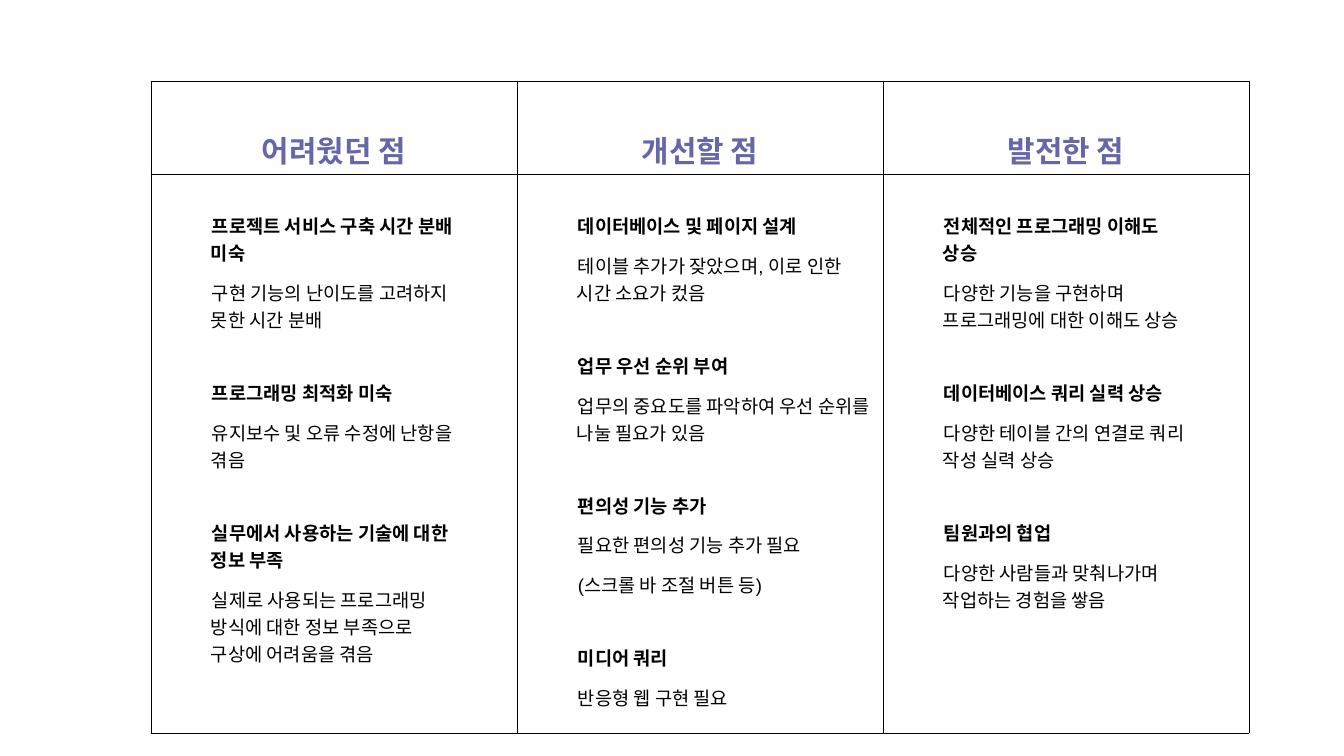
from pptx import Presentation, util as u
from pptx.dml.color import RGBColor
from pptx.enum import text
from pptx.oxml import parse_xml
from pptx.oxml.ns import nsdecls

PX = 914400 / 67.2  # EMU per pixel
BLACK, WHITE, PURPLE = "000000", "FFFFFF", "6666AB"


def px(length):
    return u.Emu(round(length * PX))


def style(paragraph, size, color, bold):
    for run in paragraph.runs:
        run.font.name = "Arial"
        run.font.size = u.Pt(size)
        run.font.bold = bold
        run.font.color.rgb = RGBColor.from_string(color)


# Each column: heading, right cell margin, topics with their explanations
columns = [
    ("어려웠던 점", 57, [
        ("프로젝트 서비스 구축 시간 분배 미숙",
         ["구현 기능의 난이도를 고려하지 못한 시간 분배"]),
        ("프로그래밍 최적화 미숙",
         ["유지보수 및 오류 수정에 난항을 겪음"]),
        ("실무에서 사용하는 기술에 대한 정보 부족",
         ["실제로 사용되는 프로그래밍 방식에 대한 정보 부족으로 구상에 어려움을 겪음"]),
    ]),
    ("개선할 점", 7, [
        ("데이터베이스 및 페이지 설계",
         ["테이블 추가가 잦았으며, 이로 인한 시간 소요가 컸음"]),
        ("업무 우선 순위 부여",
         ["업무의 중요도를 파악하여 우선 순위를 나눌 필요가 있음"]),
        ("편의성 기능 추가",
         ["필요한 편의성 기능 추가 필요", "(스크롤 바 조절 버튼 등)"]),
        ("미디어 쿼리", ["반응형 웹 구현 필요"]),
    ]),
    ("발전한 점", 57, [
        ("전체적인 프로그래밍 이해도 상승",
         ["다양한 기능을 구현하며 프로그래밍에 대한 이해도 상승"]),
        ("데이터베이스 쿼리 실력 상승",
         ["다양한 테이블 간의 연결로 쿼리 작성 실력 상승"]),
        ("팀원과의 협업",
         ["다양한 사람들과 맞춰나가며 작업하는 경험을 쌓음"]),
    ]),
]

prs = Presentation()
prs.slide_width, prs.slide_height = px(1344), px(756)
slide = prs.slides.add_slide(prs.slide_layouts[6])

# Review table
column_width, row_heights = 366, (93, 559)
review = slide.shapes.add_table(
    2, len(columns), px(151), px(81),
    px(column_width * len(columns)), px(sum(row_heights))).table
review.first_row = review.horz_banding = False
for row, height in zip(review.rows, row_heights):
    row.height = px(height)
for column in review.columns:
    column.width = px(column_width)

# Cell borders and fills
for cell in review.iter_cells():
    for side in ("lnL", "lnR", "lnT", "lnB"):
        cell._tc.get_or_add_tcPr().append(parse_xml(
            f'<a:{side} {nsdecls("a")} w="12700"><a:solidFill>'
            f'<a:srgbClr val="{BLACK}"/></a:solidFill></a:{side}>'))
    cell.fill.solid()
    cell.fill.fore_color.rgb = RGBColor.from_string(WHITE)
    cell.margin_left = cell.margin_right = px(7)
    cell.margin_top = cell.margin_bottom = px(3)

for index, (heading, right_margin, topics) in enumerate(columns):
    # Heading
    heading_line = review.cell(0, index).text_frame.paragraphs[0]
    heading_line.text = heading
    heading_line.alignment = text.PP_ALIGN.CENTER
    heading_line.line_spacing = 2.0
    style(heading_line, 32, PURPLE, True)

    # Topics, each followed by its explanations
    body = review.cell(1, index)
    body.margin_top = px(38)
    body.margin_right = px(right_margin)
    lines = [(line, line is topic) for topic, details in topics
             for line in [topic, *details]]
    body.text_frame.text = "\n".join(line for line, _ in lines)
    for number, (paragraph, (_, is_topic)) in enumerate(
            zip(body.text_frame.paragraphs, lines)):
        if number:
            paragraph.space_before = u.Pt(49.3 if is_topic else 13.4)
        indents = paragraph._p.get_or_add_pPr()
        indents.set("marL", str(px(53)))
        indents.set("indent", str(px(1)))
        style(paragraph, 20, BLACK, is_topic)

prs.save("out.pptx")
